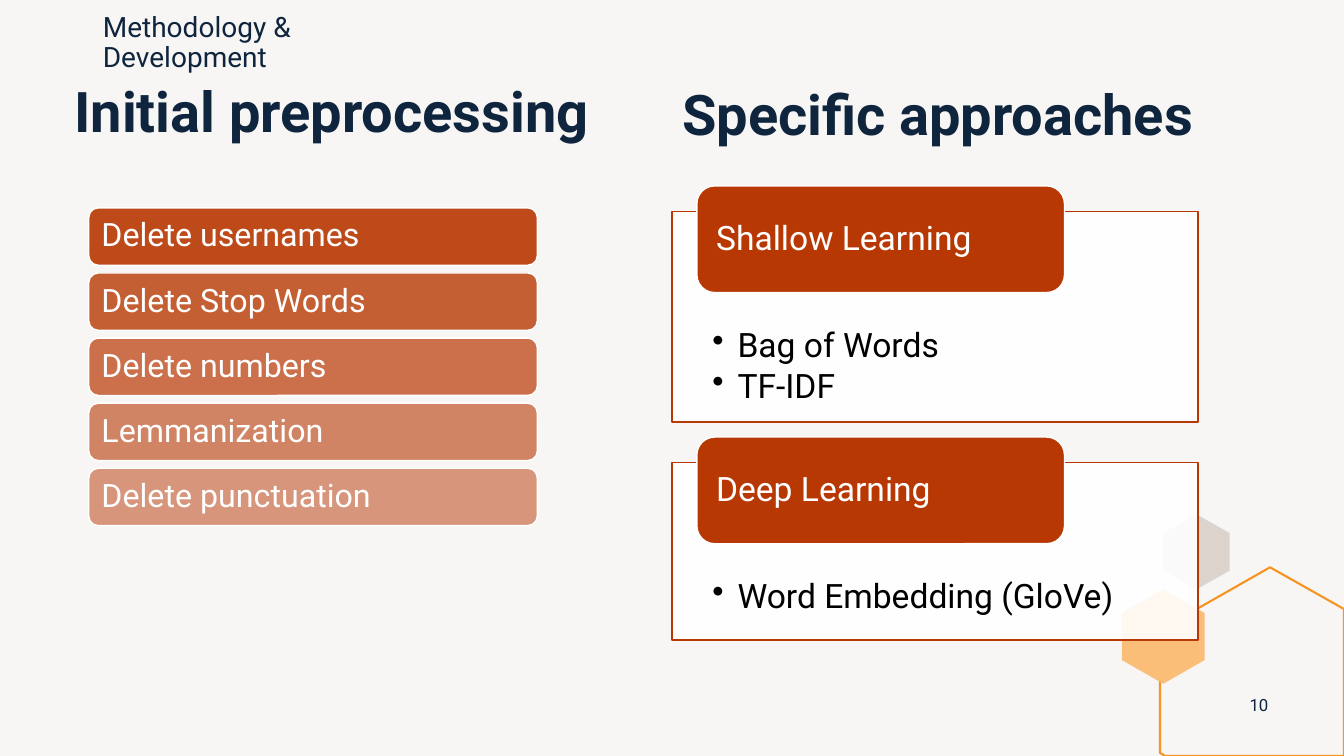
from lxml import etree
from pptx import Presentation
from pptx.dml.color import RGBColor
from pptx.enum.shapes import MSO_SHAPE as Shape
from pptx.enum.text import MSO_ANCHOR as Anchor, PP_ALIGN as Align
from pptx.oxml.ns import qn
from pptx.util import Pt

# Content
SECTION = "Methodology & Development"
PREPROCESSING_TITLE = "Initial preprocessing"
APPROACHES_TITLE = "Specific approaches"
PAGE_NUMBER = "10"
STEPS = [
    "Delete usernames",
    "Delete Stop Words",
    "Delete numbers",
    "Lemmanization",
    "Delete punctuation",
]
# Approach, methods, panel top, panel height
APPROACHES = [
    ("Shallow Learning", ["Bag of Words", "TF-IDF"], 151, 150.5),
    ("Deep Learning", ["Word Embedding (GloVe)"], 330.4, 126.8),
]

# Style
FONT = "Roboto"
NAVY = RGBColor(0x0F, 0x25, 0x3E)
RUST = RGBColor(0xB8, 0x38, 0x03)
ORANGE = RGBColor(0xF7, 0x93, 0x20)
PEACH = RGBColor(0xFA, 0xBE, 0x79)
STONE = RGBColor(0xDC, 0xD3, 0xCC)
PAPER = RGBColor(0xF8, 0xF6, 0xF5)
WHITE = RGBColor(0xFF, 0xFF, 0xFF)
BLACK = RGBColor(0x00, 0x00, 0x00)

# Layout, in points
STEP_LEFT, STEP_TOP, STEP_WIDTH, STEP_HEIGHT, STEP_PITCH = 63.4, 148.5, 320.4, 41, 46.5
PANEL_LEFT, PANEL_WIDTH = 480, 375.8
LABEL_LEFT, LABEL_RISE, LABEL_WIDTH, LABEL_HEIGHT = 497.8, 18.2, 262.6, 76.2
BULLET_INDENT = 18
HEXAGON = [(0.5, 0), (1, 0.25), (1, 0.75), (0.5, 1), (0, 0.75), (0, 0.25)]
CORNER_OUTLINE = [(907.2, 405.2), (960, 435), (960, 540),
                  (832.4, 540), (828.6, 537.8), (828.6, 450)]

prs = Presentation()
prs.slide_width, prs.slide_height = Pt(960), Pt(540)
slide = prs.slides.add_slide(prs.slide_layouts[6])
slide.background.fill.solid()
slide.background.fill.fore_color.rgb = PAPER


def paint(shape, fill=None, line=None, line_width=1, opacity=100):
    shape.shadow.inherit = False
    if fill is None:
        shape.fill.background()
    else:
        shape.fill.solid()
        shape.fill.fore_color.rgb = fill
        if opacity < 100:
            color = shape.fill._xPr.find(qn("a:solidFill"))[0]
            etree.SubElement(color, qn("a:alpha"), val=str(opacity * 1000))
    if line is None:
        shape.line.fill.background()
    else:
        shape.line.color.rgb = line
        shape.line.width = Pt(line_width)


def write(shape, lines, size, color, insets=(7.2, 3.6, 7.2, 3.6), bold=False,
          anchor=Anchor.MIDDLE, align=Align.LEFT, bullets=False):
    frame = shape.text_frame
    frame.word_wrap = True
    frame.vertical_anchor = anchor
    (frame.margin_left, frame.margin_top,
     frame.margin_right, frame.margin_bottom) = [Pt(inset) for inset in insets]
    for i, line in enumerate(lines):
        paragraph = frame.paragraphs[0] if i == 0 else frame.add_paragraph()
        paragraph.alignment = align
        paragraph.line_spacing = 0.9
        if bullets:
            paragraph.space_after = Pt(0.15 * size)
            props = paragraph._p.get_or_add_pPr()
            props.set("marL", str(Pt(BULLET_INDENT)))
            props.set("indent", str(-Pt(BULLET_INDENT)))
            etree.SubElement(props, qn("a:buChar"), char="•")
        run = paragraph.add_run()
        run.text = line
        run.font.name, run.font.size, run.font.bold = FONT, Pt(size), bold
        run.font.color.rgb = color


def add_box(kind, left, top, width, height):
    return slide.shapes.add_shape(kind, Pt(left), Pt(top), Pt(width), Pt(height))


def add_text(text, left, top, width, height, size, **options):
    box = slide.shapes.add_textbox(Pt(left), Pt(top), Pt(width), Pt(height))
    write(box, [text], size, NAVY, **options)


def add_outline(points, **style):
    corners = [(Pt(x), Pt(y)) for x, y in points]
    builder = slide.shapes.build_freeform(*corners[0])
    builder.add_line_segments(corners[1:], close=True)
    paint(builder.convert_to_shape(), **style)


def hexagon(left, top, width, height):
    return [(left + x * width, top + y * height) for x, y in HEXAGON]


# Corner decoration
add_outline(hexagon(831, 367.4, 47.4, 53.6), fill=STONE)
add_outline(CORNER_OUTLINE, line=ORANGE, line_width=1.5)
add_outline(hexagon(801.4, 421, 59, 67.4), fill=PEACH)

# Headings and page number
add_text(PAGE_NUMBER, 881.3, 489.6, 36, 28.8, 12, align=Align.CENTER)
add_text(PREPROCESSING_TITLE, 46.1, 56.9, 389.5, 111.6, 40, bold=True, anchor=Anchor.TOP)
add_text(APPROACHES_TITLE, 480.2, 59, 389.5, 111.6, 40, bold=True, anchor=Anchor.TOP)
add_text(SECTION, 66.4, 13.5, 264, 34.6, 20)

# Preprocessing steps, fading downwards
for i, step in enumerate(STEPS):
    bar = add_box(Shape.ROUNDED_RECTANGLE, STEP_LEFT, STEP_TOP + i * STEP_PITCH,
                  STEP_WIDTH, STEP_HEIGHT)
    paint(bar, RUST, WHITE, opacity=90 - 10 * i)
    write(bar, [step], 23, WHITE)

# Approaches: a panel of methods under each label
for approach, methods, top, height in APPROACHES:
    panel = add_box(Shape.RECTANGLE, PANEL_LEFT, top, PANEL_WIDTH, height)
    paint(panel, WHITE, RUST, opacity=90)
    write(panel, methods, 24, BLACK, insets=(28.8, 83.5, 28.8, 13.7),
          anchor=Anchor.TOP, bullets=True)
    label = add_box(Shape.ROUNDED_RECTANGLE, LABEL_LEFT, top - LABEL_RISE,
                    LABEL_WIDTH, LABEL_HEIGHT)
    paint(label, RUST, WHITE)
    write(label, [approach], 24, WHITE, insets=(10, 0, 10, 0))

prs.save("out.pptx")
